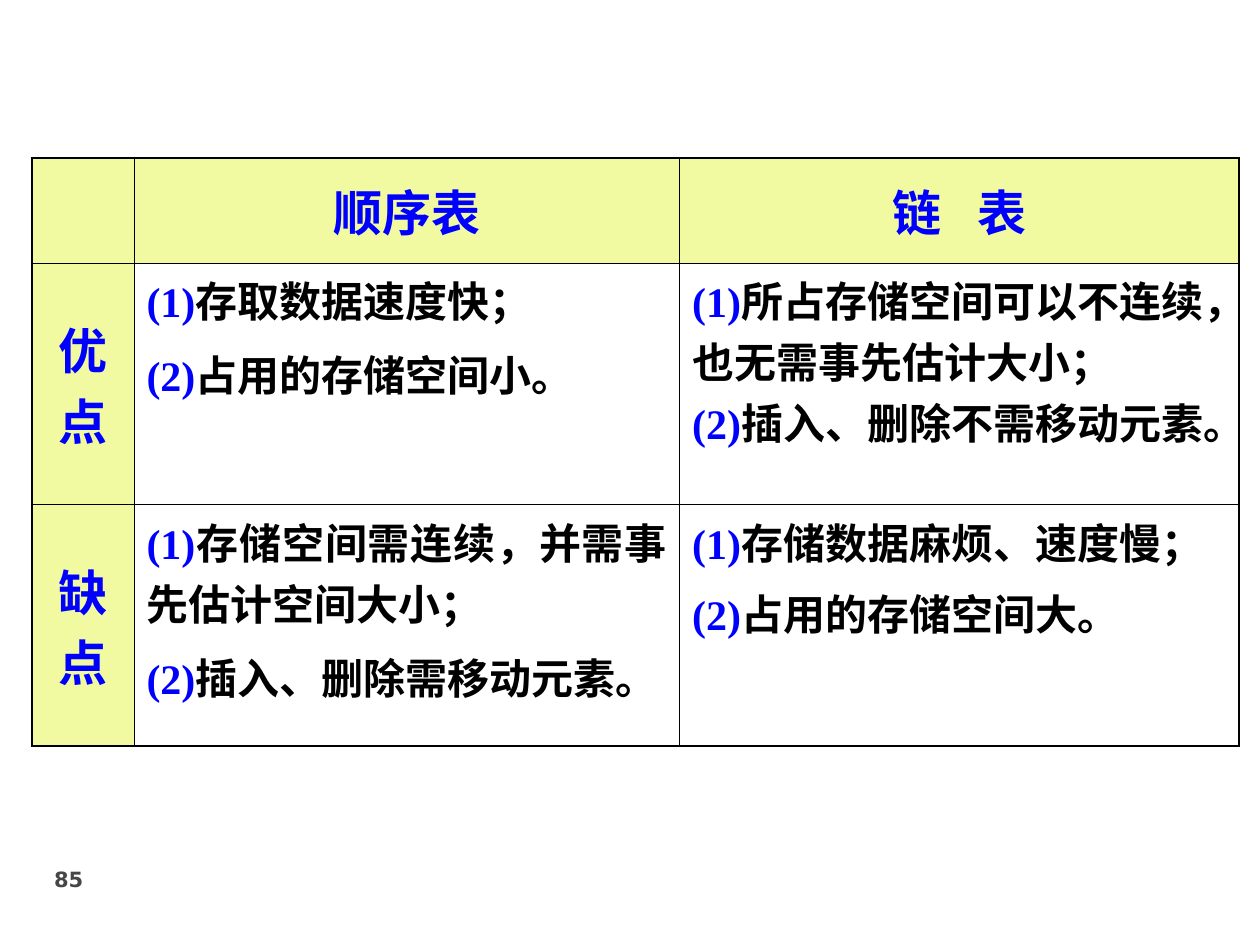
import pptx
import pptx.dml.color
import pptx.enum.text
import pptx.oxml
import pptx.oxml.ns
import pptx.util

Cm = pptx.util.Cm
Pt = pptx.util.Pt
ALIGN = pptx.enum.text.PP_ALIGN
ANCHOR = pptx.enum.text.MSO_ANCHOR

BLUE, BLACK, GREY, YELLOW = "0000FF", "000000", "464646", "F1F9A1"
OUTER, INNER = 1.08, 0.45


def colour(value):
    return pptx.dml.color.RGBColor.from_string(value)


def apply(target, values):
    for name, value in values.items():
        setattr(target, name, value)


class SlideBuilder:
    heading = {"name": "Times New Roman", "size": Pt(28), "bold": True}
    body = {"name": "Times New Roman", "size": Pt(24), "bold": True}
    number = {"name": "DejaVu Sans", "size": Pt(12), "bold": True}

    def __init__(self, deck):
        self.page = deck.slides.add_slide(deck.slide_layouts[6])

    def span(self, para, text, style, ink, tracking=0):
        span = para.add_run()
        span.text = text
        apply(span.font, style)
        span.font.color.rgb = colour(ink)
        if tracking:
            span.font._element.set("spc", str(tracking * 100))

    def page_number(self, text, left, top, width, height):
        box = self.page.shapes.add_textbox(left, top, width, height)
        box.text_frame.word_wrap = True
        self.span(box.text_frame.paragraphs[0], text, self.number, GREY)

    def table(self, left, top, widths, heights):
        frame = self.page.shapes.add_table(
            len(heights), len(widths), left, top, sum(widths), sum(heights))
        table = frame.table
        apply(table, {"first_row": False, "horz_banding": False})
        for column, width in zip(table.columns, widths):
            column.width = width
        for row, height in zip(table.rows, heights):
            row.height = height
        last_row, last_column = len(heights) - 1, len(widths) - 1
        for r in range(len(heights)):
            for c in range(len(widths)):
                cell = table.cell(r, c)
                self.borders(cell, {"L": c == 0, "R": c == last_column,
                                    "T": r == 0, "B": r == last_row})
                if r == 0 or c == 0:
                    cell.fill.solid()
                    cell.fill.fore_color.rgb = colour(YELLOW)
                else:
                    cell.fill.background()
        return table

    def borders(self, cell, sides):
        properties = cell._tc.get_or_add_tcPr()
        for side, is_outer in sides.items():
            width = Pt(OUTER if is_outer else INNER)
            properties.append(pptx.oxml.parse_xml(
                f'<a:ln{side} {pptx.oxml.ns.nsdecls("a")} w="{width}">'
                f'<a:solidFill><a:srgbClr val="{BLACK}"/></a:solidFill>'
                f'</a:ln{side}>'))

    def heading_cell(self, cell, text):
        cell.vertical_anchor = ANCHOR.MIDDLE
        para = cell.text_frame.paragraphs[0]
        para.alignment = ALIGN.CENTER
        first, gap, rest = text.partition(" ")
        self.span(para, first, self.heading, BLUE)
        if gap:
            self.span(para, gap, self.heading, BLUE, tracking=14)
            self.span(para, rest, self.heading, BLUE)

    def numbered_cell(self, cell, items, alignment, gap):
        frame = cell.text_frame
        for index, item in enumerate(items, 1):
            para = frame.paragraphs[0] if index == 1 else frame.add_paragraph()
            para.alignment = alignment
            if index > 1:
                para.space_before = Pt(gap)
            self.span(para, f"({index})", self.body, BLUE)
            self.span(para, item, self.body, BLACK)


def main():
    deck = pptx.Presentation()
    apply(deck, {"slide_width": Cm(25.4), "slide_height": Cm(19.05)})
    builder = SlideBuilder(deck)
    builder.page_number("85", Cm(0.84), Cm(17.35), Cm(6.35), Cm(1.32))

    table = builder.table(Cm(0.64), Cm(3.18),
                          [Cm(2.06), Cm(11), Cm(11.28)],
                          [Cm(2.12), Cm(4.87), Cm(4.87)])
    for column, text in enumerate(["顺序表", "链 表"], 1):
        builder.heading_cell(table.cell(0, column), text)
    for row, text in enumerate(["优点", "缺点"], 1):
        builder.heading_cell(table.cell(row, 0), text)

    comparisons = [
        (1, 1, ["存取数据速度快；", "占用的存储空间小。"], ALIGN.JUSTIFY, 7.5),
        (1, 2, ["所占存储空间可以不连续，也无需事先估计大小；",
                "插入、删除不需移动元素。"], ALIGN.LEFT, 0),
        (2, 1, ["存储空间需连续，并需事先估计空间大小；",
                "插入、删除需移动元素。"], ALIGN.JUSTIFY, 7.5),
        (2, 2, ["存储数据麻烦、速度慢；", "占用的存储空间大。"], ALIGN.LEFT, 6),
    ]
    for row, column, items, alignment, gap in comparisons:
        builder.numbered_cell(table.cell(row, column), items, alignment, gap)
    deck.save("out.pptx")


if __name__ == "__main__":
    main()
